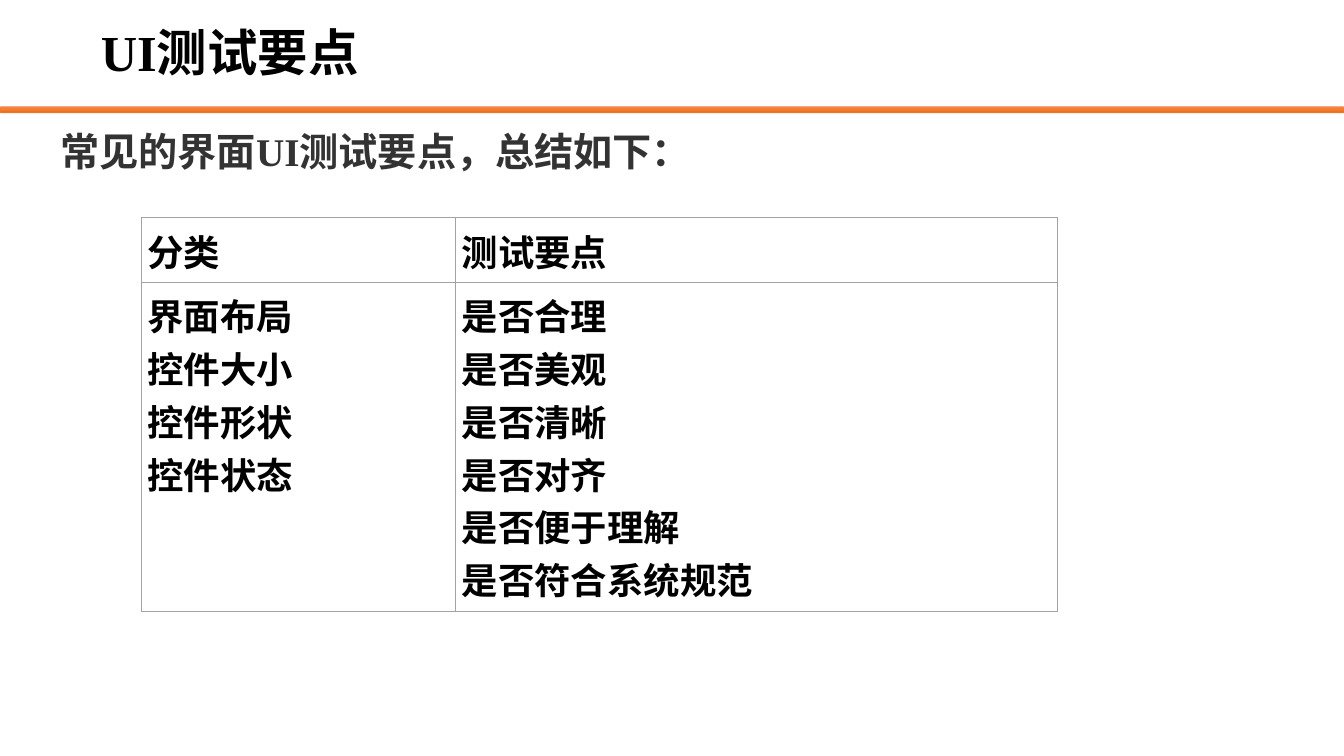
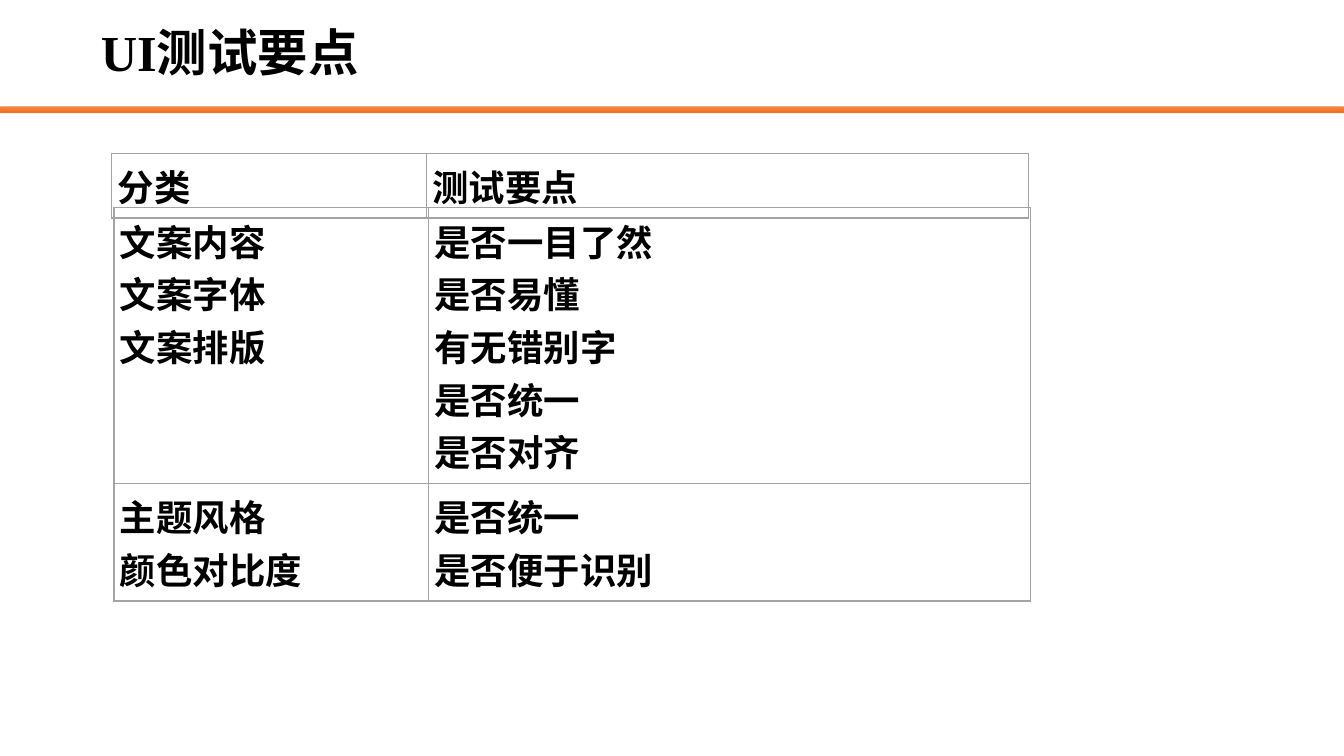
import copy
from dataclasses import dataclass

import lxml.etree
import pptx
import pptx.dml.color
import pptx.enum.shapes
import pptx.enum.text
import pptx.oxml
import pptx.oxml.ns
import pptx.util
from pptx.util import Inches

CJK_FONT = "Noto Sans CJK SC"
LATIN_FONT = "Times New Roman"
BLACK, DARK_GREY, BORDER_GREY = "000000", "333333", "A3A3A3"
BAND_LINE = "ED7D31"
BAND_STOPS = ((0, "F18C57"), (0.5, "F67B28"), (1, "E56C19"))
SLIDE_WIDTH, SLIDE_HEIGHT = 13.33, 7.5
COLUMN_WIDTHS = (3.12, 5.97)
CELL_INSET = 0.06
LINE_HEIGHT = 0.52
HEADER = (("分类",), ("测试要点",))

Row = tuple[tuple[str, ...], ...]


@dataclass(frozen=True)
class Checklist:
    left: float
    top: float
    rows: tuple[Row, ...]


@dataclass(frozen=True)
class Page:
    title: str
    intro: tuple[tuple[str, str], ...]
    checklists: tuple[Checklist, ...]


PAGES = (
    Page(
        "UI测试要点",
        (("常见的界面", CJK_FONT), ("UI", LATIN_FONT), ("测试要点，总结如下：", CJK_FONT)),
        (
            Checklist(1.4, 2.16, (
                HEADER,
                (("界面布局", "控件大小", "控件形状", "控件状态"),
                 ("是否合理", "是否美观", "是否清晰", "是否对齐",
                  "是否便于理解", "是否符合系统规范")),
            )),
        ),
    ),
    Page(
        "UI测试要点",
        (),
        (
            Checklist(1.13, 2.06, (
                (("文案内容", "文案字体", "文案排版"),
                 ("是否一目了然", "是否易懂", "有无错别字", "是否统一", "是否对齐")),
                (("主题风格", "颜色对比度"), ("是否统一", "是否便于识别")),
            )),
            Checklist(1.11, 1.52, (HEADER,)),
        ),
    ),
)


def rgb(value: str) -> pptx.dml.color.RGBColor:
    return pptx.dml.color.RGBColor.from_string(value)


def format_run(run, size: float, colour: str, font: str = CJK_FONT) -> None:
    run.font.size = pptx.util.Pt(size)
    run.font.bold = True
    run.font.name = font
    run.font.color.rgb = rgb(colour)
    east_asian = lxml.etree.SubElement(
        run._r.get_or_add_rPr(), pptx.oxml.ns.qn("a:ea"))
    east_asian.set("typeface", CJK_FONT)


def prepare_layout(layout) -> None:
    """Place the title shared by all slides."""
    title = layout.placeholders[0]
    title.left, title.top = Inches(0.9), Inches(0.06)
    title.width, title.height = Inches(11.5), Inches(0.98)
    title.text_frame.vertical_anchor = pptx.enum.text.MSO_ANCHOR.MIDDLE
    title.text_frame.auto_size = pptx.enum.text.MSO_AUTO_SIZE.NONE


def add_layout_band(slide, layout) -> None:
    """Draw the orange band and hand it over to the layout."""
    band = slide.shapes.add_shape(
        pptx.enum.shapes.MSO_SHAPE.ROUNDED_RECTANGLE,
        Inches(0), Inches(1.06), Inches(SLIDE_WIDTH), Inches(0.06))
    band.shadow.inherit = False
    band.line.color.rgb = rgb(BAND_LINE)
    band.line.width = pptx.util.Pt(0.5)
    band.fill.gradient()
    band.fill.gradient_angle = 270
    first_stop = band.element.xpath(".//a:gs")[0]
    first_stop.addnext(copy.deepcopy(first_stop))
    for stop, (position, colour) in zip(band.fill.gradient_stops, BAND_STOPS):
        stop.position = position
        stop.color.rgb = rgb(colour)
    band.element.xpath(".//p:cNvPr")[0].set("id", "100")
    layout.shapes.element.insert(2, band.element)


def add_title(slide, text: str) -> None:
    slide.shapes.title.text_frame.text = text
    paragraph = slide.shapes.title.text_frame.paragraphs[0]
    paragraph.alignment = pptx.enum.text.PP_ALIGN.LEFT
    paragraph.line_spacing = 0.9
    format_run(paragraph.runs[0], 36, BLACK, LATIN_FONT)


def add_intro(slide, pieces: tuple[tuple[str, str], ...]) -> None:
    intro = slide.shapes.add_textbox(
        Inches(0.5), Inches(1.21), Inches(12.33), Inches(0.57))
    intro.text_frame.word_wrap = True
    intro.text_frame.vertical_anchor = pptx.enum.text.MSO_ANCHOR.MIDDLE
    paragraph = intro.text_frame.paragraphs[0]
    for text, font in pieces:
        run = paragraph.add_run()
        run.text = text
        format_run(run, 28, DARK_GREY, font)


def format_cell(cell, lines: tuple[str, ...]) -> None:
    cell.margin_left = cell.margin_right = Inches(CELL_INSET)
    cell.margin_top = cell.margin_bottom = Inches(CELL_INSET)
    cell.text_frame.text = "\n".join(lines)
    for paragraph in cell.text_frame.paragraphs:
        format_run(paragraph.runs[0], 26, BLACK)
    cell.fill.background()
    # Borders come before the fill in the cell properties
    properties = cell._tc.get_or_add_tcPr()
    for index, side in enumerate(("lnL", "lnR", "lnT", "lnB")):
        properties.insert(index, pptx.oxml.parse_xml(
            f'<a:{side} {pptx.oxml.ns.nsdecls("a")} w="12700"><a:solidFill>'
            f'<a:srgbClr val="{BORDER_GREY}"/></a:solidFill></a:{side}>'))


def add_checklist(slide, checklist: Checklist) -> None:
    heights = [max(map(len, row)) * LINE_HEIGHT + 2 * CELL_INSET
               for row in checklist.rows]
    table = slide.shapes.add_table(
        len(checklist.rows), len(COLUMN_WIDTHS),
        Inches(checklist.left), Inches(checklist.top),
        Inches(sum(COLUMN_WIDTHS)), Inches(sum(heights))).table
    table.first_row = table.horz_banding = False
    for column, width in zip(table.columns, COLUMN_WIDTHS):
        column.width = Inches(width)
    for row, height, contents in zip(table.rows, heights, checklist.rows):
        row.height = Inches(height)
        for cell, lines in zip(row.cells, contents):
            format_cell(cell, lines)


def main() -> None:
    prs = pptx.Presentation()
    prs.slide_width, prs.slide_height = Inches(SLIDE_WIDTH), Inches(SLIDE_HEIGHT)
    layout = prs.slide_layouts.get_by_name("Title Only")
    prepare_layout(layout)
    slides = [prs.slides.add_slide(layout) for _ in PAGES]
    add_layout_band(slides[0], layout)

    for slide, page in zip(slides, PAGES):
        add_title(slide, page.title)
        for checklist in page.checklists:
            add_checklist(slide, checklist)
        if page.intro:
            add_intro(slide, page.intro)
    prs.save("out.pptx")


if __name__ == "__main__":
    main()
